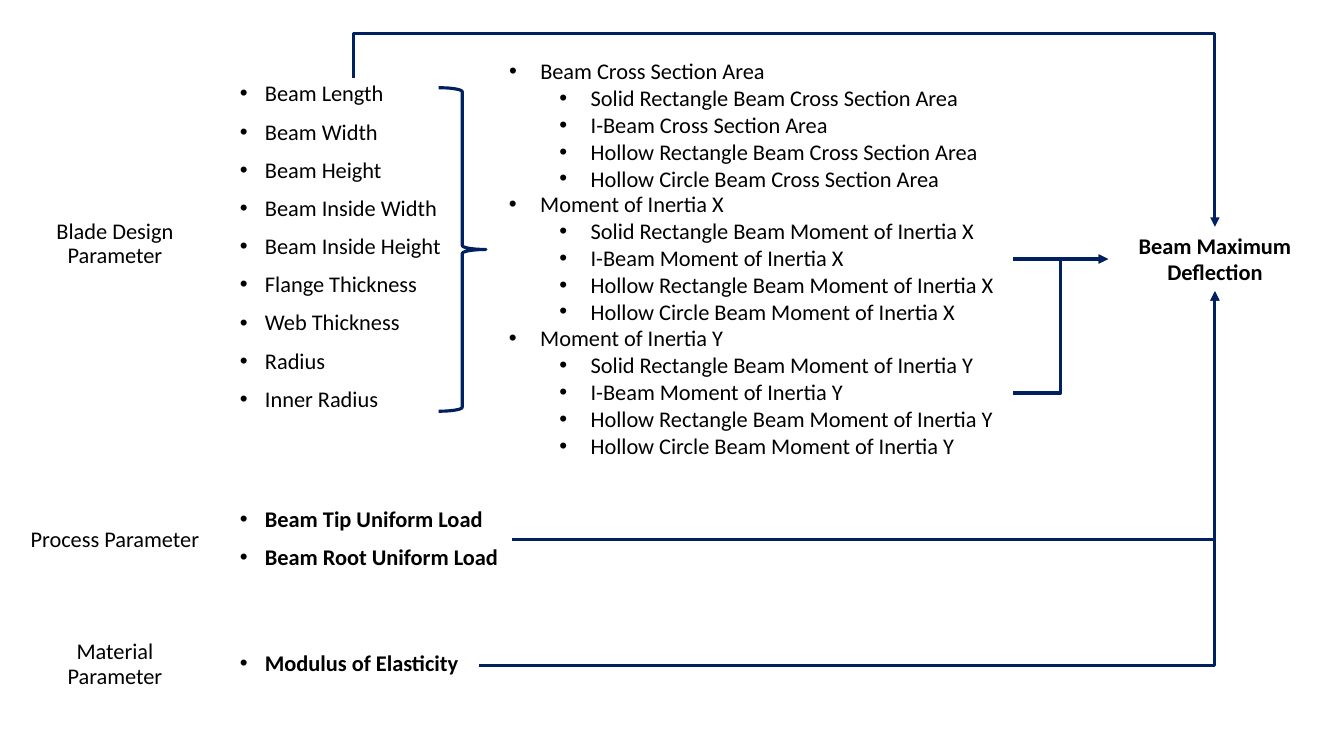
import pptx
import pptx.dml.color
import pptx.enum.dml
import pptx.enum.shapes
import pptx.enum.text
import pptx.oxml
import pptx.oxml.ns
import pptx.util
from lxml import etree

Inches = pptx.util.Inches
Pt = pptx.util.Pt
qn = pptx.oxml.ns.qn
ALIGN = pptx.enum.text.PP_ALIGN
ANCHOR = pptx.enum.text.MSO_ANCHOR
CONNECTOR = pptx.enum.shapes.MSO_CONNECTOR
NAVY = pptx.dml.color.RGBColor(0x00, 0x20, 0x60)
BLACK = pptx.dml.color.RGBColor(0x00, 0x00, 0x00)

TOP, LEFT, BOTTOM, RIGHT = range(4)
CENTERED = {"alignment": ALIGN.CENTER}
LABEL = {"alignment": ALIGN.CENTER, "line_spacing": 0.9}
PARAMETER = {"line_spacing": 0.9, "space_before": Pt(10)}


class DesignSlide:
    def __init__(self, deck):
        self.slide = deck.slides.add_slide(deck.slide_layouts[5])
        self.shapes = self.slide.shapes
        self.font = {"name": "Calibri", "size": Pt(16)}
        self.line_width = Pt(2.25)

    def fill_text(self, box, items, layout, anchor=ANCHOR.TOP, bold=False, hang=None):
        frame = box.text_frame
        frame_format = {
            "word_wrap": True,
            "auto_size": pptx.enum.text.MSO_AUTO_SIZE.NONE,
            "vertical_anchor": anchor,
        }
        for name, value in frame_format.items():
            setattr(frame, name, value)
        for index, (level, text) in enumerate(items):
            paragraph = frame.paragraphs[0] if index == 0 else frame.add_paragraph()
            if hang:
                self.bullet(paragraph, level, hang)
            for name, value in layout.items():
                setattr(paragraph, name, value)
            if index == 0:
                paragraph.space_before = Pt(0)
            run = paragraph.add_run()
            run.text = text
            for name, value in {**self.font, "bold": bold}.items():
                setattr(run.font, name, value)
            run.font.color.rgb = BLACK
        return box

    def bullet(self, paragraph, level, hang):
        paragraph.level = level
        properties = paragraph._p.get_or_add_pPr()
        properties.set("marL", str(Inches(hang + 0.5 * level)))
        properties.set("indent", str(-Inches(hang)))
        etree.SubElement(properties, qn("a:buFont"), typeface="Arial")
        etree.SubElement(properties, qn("a:buChar"), char="•")

    def title(self, place, text):
        heading = self.shapes.title
        for name, value in zip(("left", "top", "width", "height"), place):
            setattr(heading, name, Inches(value))
        return self.fill_text(heading, [(0, text)], LABEL, ANCHOR.MIDDLE)

    def text(self, place, items, layout, **options):
        box = self.shapes.add_textbox(*map(Inches, place))
        return self.fill_text(box, items, layout, **options)

    def brace(self, place):
        brace = self.shapes.add_shape(
            pptx.enum.shapes.MSO_SHAPE.RIGHT_BRACE, *map(Inches, place)
        )
        brace.shadow.inherit = False
        brace.fill.background()
        brace.line.color.rgb = NAVY
        brace.line.width = self.line_width

    def arrow(self, kind, begin=(0, 0), end=(0, 0)):
        arrow = self.shapes.add_connector(kind, *map(Inches, begin + end))
        arrow.line.color.rgb = NAVY
        arrow.line.width = self.line_width
        etree.SubElement(arrow.line._get_or_add_ln(), qn("a:tailEnd"), type="triangle")
        etree.SubElement(arrow._element.spPr, qn("a:effectLst"))
        return arrow

    def join(self, kind, source, target, side, corner=False):
        arrow = self.arrow(kind)
        arrow.begin_connect(source, RIGHT)
        arrow.end_connect(target, side)
        if corner:
            arrow._element.spPr.find(qn("a:prstGeom")).set("prst", "bentConnector2")

    def overhead_arrow(self, begin, end, rail):
        (x1, y1), (x2, y2) = begin, end
        center_x, center_y = (x1 + x2) / 2, (y1 + y2) / 2
        half_width, half_height = (y2 - y1) / 2, (x2 - x1) / 2
        arrow = self.arrow(
            CONNECTOR.ELBOW,
            (center_x + half_width, center_y - half_height),
            (center_x - half_width, center_y + half_height),
        )
        properties = arrow._element.spPr
        properties.find(qn("a:xfrm")).set("rot", str(270 * 60000))
        geometry = properties.find(qn("a:prstGeom"))
        adjustments = geometry.find(qn("a:avLst"))
        if adjustments is None:
            adjustments = etree.SubElement(geometry, qn("a:avLst"))
        bend = round((rail - y1) / (y2 - y1) * 100000)
        etree.SubElement(adjustments, qn("a:gd"), name="adj1", fmla=f"val {bend}")


def main():
    deck = pptx.Presentation()
    deck.slide_width = Inches(13.33)
    deck.slide_height = Inches(7.5)
    design = DesignSlide(deck)

    design.title((0.2, 1.96, 1.88, 0.93), "Blade Design Parameter")
    for top, height, label in (
        (5.11, 0.49, "Process Parameter"),
        (6.13, 0.93, "Material Parameter"),
    ):
        design.text((0.2, top, 1.88, height), [(0, label)], LABEL, anchor=ANCHOR.MIDDLE)

    parameters = []
    for place, names, bold in (
        (
            (2.28, 0.77, 2.47, 3.42),
            ("Beam Length", "Beam Width", "Beam Height", "Beam Inside Width",
             "Beam Inside Height", "Flange Thickness", "Web Thickness",
             "Radius", "Inner Radius"),
            False,
        ),
        ((2.28, 4.99, 2.8, 0.73), ("Beam Tip Uniform Load", "Beam Root Uniform Load"), True),
        ((2.28, 6.42, 2.47, 0.36), ("Modulus of Elasticity",), True),
    ):
        items = [(0, name) for name in names]
        parameters.append(design.text(place, items, PARAMETER, bold=bold, hang=0.25))
    geometry, loads, elasticity = parameters

    sections = []
    for top, width, heading, quantity in (
        (0.52, 5.01, "Beam Cross Section Area", "Cross Section Area"),
        (1.84, 5.1, "Moment of Inertia X", "Moment of Inertia X"),
        (3.17, 5.1, "Moment of Inertia Y", "Moment of Inertia Y"),
    ):
        items = [(0, heading)] + [
            (1, f"{beam} {quantity}")
            for beam in ("Solid Rectangle Beam", "I-Beam",
                         "Hollow Rectangle Beam", "Hollow Circle Beam")
        ]
        sections.append(design.text((4.95, top, width, 1.46), items, {}, hang=0.31))
    area, inertia_x, inertia_y = sections

    deflection = design.text(
        (10.99, 2.25, 2.12, 0.64), [(0, "Beam Maximum Deflection")], CENTERED, bold=True
    )
    design.brace((4.35, 0.87, 0.47, 3.21))

    design.overhead_arrow((3.51, 0.77), (12.05, 2.25), 0.33)
    design.join(CONNECTOR.STRAIGHT, inertia_x, deflection, LEFT)
    design.join(CONNECTOR.ELBOW, inertia_y, deflection, LEFT)
    for source in (loads, elasticity):
        design.join(CONNECTOR.ELBOW, source, deflection, BOTTOM, corner=True)

    deck.save("out.pptx")


if __name__ == "__main__":
    main()
